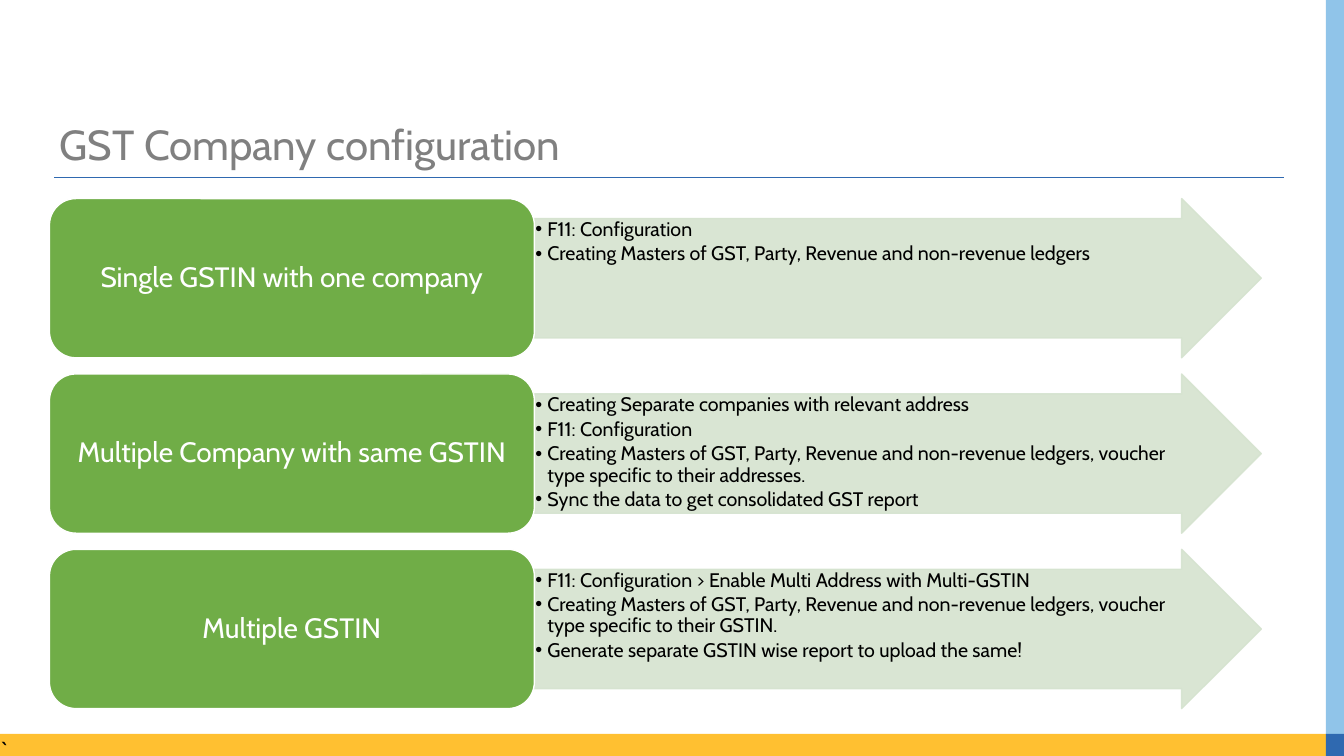
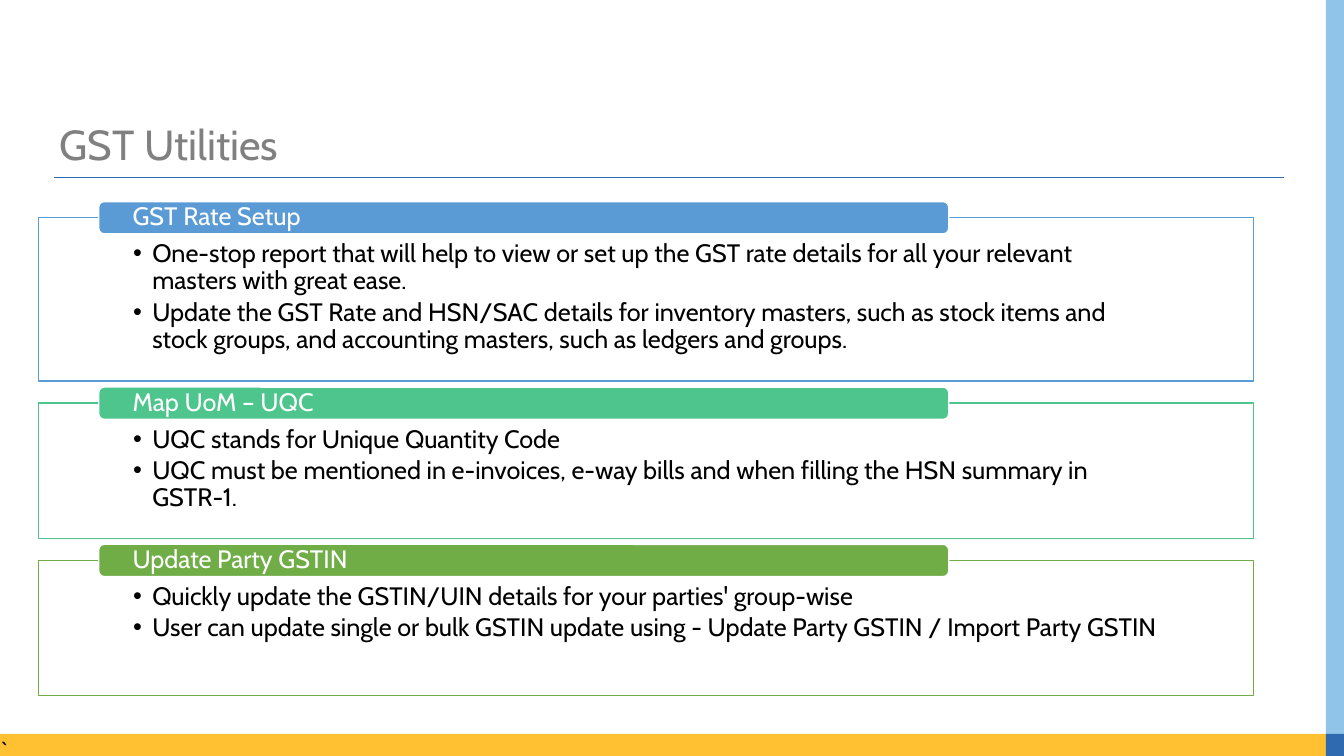
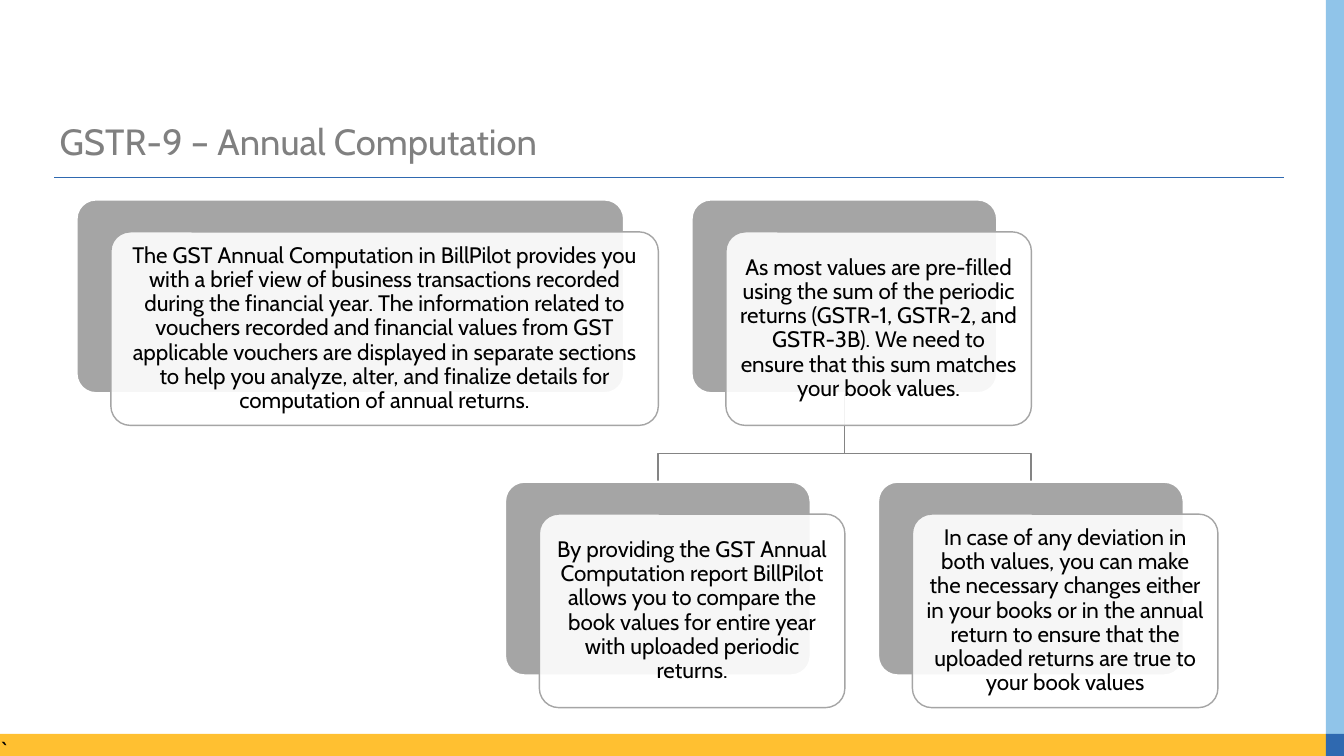
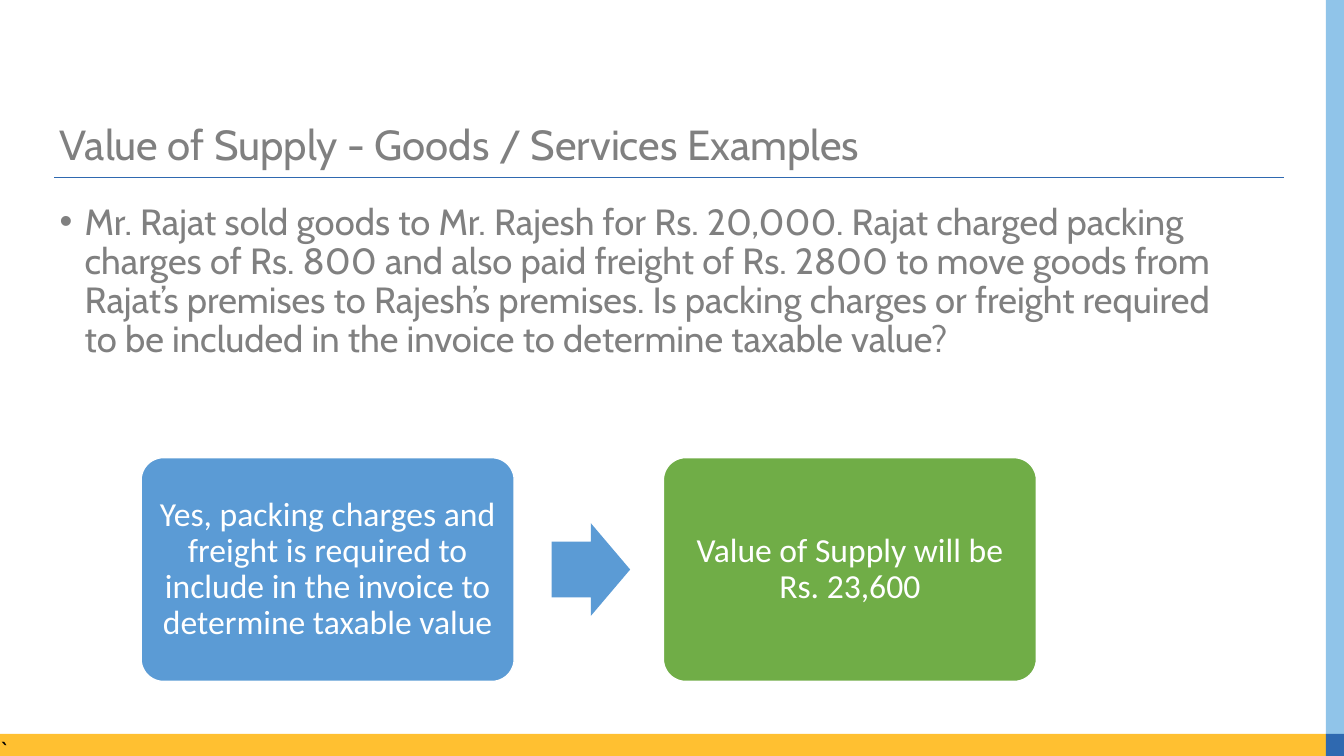
from collections import namedtuple

from lxml.etree import SubElement
from pptx import Presentation
from pptx.dml.color import RGBColor
from pptx.enum.shapes import MSO_SHAPE as Preset
from pptx.enum.text import MSO_ANCHOR as Anchor, MSO_AUTO_SIZE as AutoSize, PP_ALIGN as Align
from pptx.oxml.ns import qn
from pptx.util import Pt

PX = 9144  # EMU in one px: 100 px to the inch
SLIDE_WIDTH, SLIDE_HEIGHT = 1333, 750
TITLE_ONLY, TITLE_AND_BODY = 5, 1

WHITE, BLACK, GREY = "FFFFFF", "000000", "808080"
BLUE, TEAL, GREEN = "5B9BD5", "4DC58D", "70AD47"
PALE_GREEN, CARD_GREY, BRANCH_GREY = "D5E3CF", "A5A5A5", "848484"
AMBER, SKY, NAVY = "FFC031", "90C4E9", "2F69B0"
HEAD_FONT, PLAIN_FONT = "Cabin", "Calibri"

Box = namedtuple("Box", "left top width height")


# ---------- Shared helpers ----------
def px(length):
    return round(length * PX)


def color(hex_value):
    return RGBColor.from_string(hex_value)


def set_values(target, **values):
    for name, value in values.items():
        setattr(target, name, value)


def place(shape, box):
    set_values(shape, **{name: px(value) for name, value in box._asdict().items()})


def paint(fill, hex_value, opacity=100):
    fill.solid()
    fill.fore_color.rgb = color(hex_value)
    if opacity < 100:
        solid = fill._xPr.find(qn("a:solidFill"))
        SubElement(solid[0], qn("a:alpha"), val=str(opacity * 1000))


def add_block(slide, preset, box, fill, line=None, weight=1, opacity=100,
              line_opacity=100, adjustments=()):
    shape = slide.shapes.add_shape(preset, *map(px, box))
    shape.shadow.inherit = False
    paint(shape.fill, fill, opacity)
    if line:
        paint(shape.line.fill, line, line_opacity)
        shape.line.width = Pt(weight)
    else:
        shape.line.fill.background()
    for index, value in enumerate(adjustments):
        shape.adjustments[index] = value
    return shape


def add_bullet(paragraph, indent):
    properties = paragraph._p.get_or_add_pPr()
    properties.set("marL", str(px(indent)))
    properties.set("indent", str(px(-indent)))
    SubElement(properties, qn("a:buFont"), typeface="Arial")
    SubElement(properties, qn("a:buChar"), char="•")


def write(shape, lines, size, hex_value, font=HEAD_FONT, align=Align.LEFT,
          anchor=Anchor.TOP, insets=(10, 5, 10, 5), indent=0, spacing=0.9):
    frame = shape.text_frame
    sides = ("margin_left", "margin_top", "margin_right", "margin_bottom")
    set_values(frame, word_wrap=True, auto_size=AutoSize.NONE, vertical_anchor=anchor,
               **dict(zip(sides, map(px, insets))))
    for index, line in enumerate(lines):
        paragraph = frame.add_paragraph() if index else frame.paragraphs[0]
        if indent:
            add_bullet(paragraph, indent)
        after = Pt(size * 0.17) if index < len(lines) - 1 else 0
        set_values(paragraph, alignment=align, line_spacing=spacing,
                   space_before=0, space_after=after)
        run = paragraph.add_run()
        run.text = line
        set_values(run.font, name=font, size=Pt(size))
        run.font.color.rgb = color(hex_value)


# ---------- Shared slide frame ----------
def add_bands(slide):
    edge, band_top = 1315, 728
    footer = add_block(slide, Preset.RECTANGLE,
                       Box(0, band_top, edge, SLIDE_HEIGHT - band_top), AMBER)
    write(footer, ["`"], 18, BLACK, PLAIN_FONT, insets=(0, 0, 0, 0), spacing=1.0)
    side = SLIDE_WIDTH - edge
    add_block(slide, Preset.RECTANGLE, Box(edge, 0, side, band_top), SKY)
    add_block(slide, Preset.RECTANGLE,
              Box(edge, band_top, side, SLIDE_HEIGHT - band_top), NAVY)


def add_title_rule(slide):
    rule = slide.shapes.add_connector(1, px(54), px(176), px(1273), px(176))
    SubElement(rule._element.spPr, qn("a:effectLst"))
    rule.line.width = Pt(0.82)
    rule.line.color.rgb = color(NAVY)


def new_slide(presentation, title, size=30, layout=TITLE_ONLY):
    slide = presentation.slides.add_slide(presentation.slide_layouts[layout])
    add_title_rule(slide)
    add_bands(slide)
    place(slide.shapes.title, Box(49, 118, 1220, 50))
    write(slide.shapes.title, [title], size, GREY)
    return slide


# ---------- Slide 1: label with an arrow of points ----------
def add_arrow_row(slide, box, label, points):
    label_width = 481
    arrow = add_block(slide, Preset.RIGHT_ARROW,
                      Box(box.left + label_width, box.top, box.width - label_width, box.height),
                      PALE_GREEN, PALE_GREEN, opacity=90, line_opacity=90,
                      adjustments=(0.75, 0.5))
    write(arrow, points, 14, BLACK, insets=(1, 1, 1, 1), indent=12)
    name = add_block(slide, Preset.ROUNDED_RECTANGLE,
                     box._replace(width=label_width), GREEN, WHITE)
    write(name, [label], 20, WHITE, align=Align.CENTER, anchor=Anchor.MIDDLE,
          insets=(8, 4, 8, 4))


def build_configuration(presentation):
    slide = new_slide(presentation, "GST Company configuration")
    setup = "F11: Configuration"
    masters = "Creating Masters of GST, Party, Revenue and non-revenue ledgers"
    rows = [
        ("Single GSTIN with one company", [setup, masters]),
        ("Multiple Company with same GSTIN", [
            "Creating Separate companies with relevant address",
            setup,
            masters + ", voucher type specific to their addresses.",
            "Sync the data to get consolidated GST report"]),
        ("Multiple GSTIN", [
            setup + " > Enable Multi Address with Multi-GSTIN",
            masters + ", voucher type specific to their GSTIN.",
            "Generate separate GSTIN wise report to upload the same!"]),
    ]
    height, gap = 158, 16
    for index, (label, points) in enumerate(rows):
        add_arrow_row(slide, Box(49, 197 + index * (height + gap), 1202, height),
                      label, points)


# ---------- Slide 2: outlined sections with a tab ----------
def add_section(slide, box, accent, heading, points):
    tab_height = 32
    overlap = tab_height // 2
    panel = add_block(slide, Preset.RECTANGLE,
                      box._replace(top=box.top + overlap, height=box.height - overlap),
                      WHITE, accent, opacity=90)
    write(panel, points, 18, BLACK, insets=(94, 23, 94, 14), indent=19)
    tab = add_block(slide, Preset.ROUNDED_RECTANGLE,
                    Box(box.left + 60, box.top, 843, tab_height), accent, WHITE)
    write(tab, [heading], 18, WHITE, anchor=Anchor.MIDDLE, insets=(32, 0, 32, 0))


def build_utilities(presentation):
    slide = new_slide(presentation, "GST Utilities")
    sections = [
        (178, BLUE, "GST Rate Setup", [
            "One-stop report that will help to view or set up the GST rate details "
            "for all your relevant masters with great ease.",
            "Update the GST Rate and HSN/SAC details for inventory masters, such as "
            "stock items and stock groups, and accounting masters, such as ledgers "
            "and groups."]),
        (150, TEAL, "Map UoM – UQC", [
            "UQC stands for Unique Quantity Code",
            "UQC must be mentioned in e-invoices, e-way bills and when filling the "
            "HSN summary in GSTR-1."]),
        (150, GREEN, "Update Party GSTIN", [
            "Quickly update the GSTIN/UIN details for your parties' group-wise",
            "User can update single or bulk GSTIN update using - Update Party GSTIN "
            "/ Import Party GSTIN"]),
    ]
    top, gap = 200, 6
    for height, accent, heading, points in sections:
        add_section(slide, Box(38, top, 1205, height), accent, heading, points)
        top += height + gap


# ---------- Slide 3: tree of layered cards ----------
def add_card(slide, box, text):
    add_block(slide, Preset.ROUNDED_RECTANGLE, box, CARD_GREY, WHITE, 1.5,
              adjustments=(0.1,))
    front = add_block(slide, Preset.ROUNDED_RECTANGLE,
                      box._replace(left=box.left + 34, top=box.top + 32),
                      WHITE, CARD_GREY, opacity=90, adjustments=(0.1,))
    write(front, [text], 16, BLACK, align=Align.CENTER, anchor=Anchor.MIDDLE,
          insets=(7, 7, 7, 7))


def add_branch(slide, parent, child):
    start = parent.left + parent.width / 2
    end = child.left + child.width / 2
    elbow = child.top - 28
    builder = slide.shapes.build_freeform(px(start), px(parent.top + parent.height))
    builder.add_line_segments(
        [(px(start), px(elbow)), (px(end), px(elbow)), (px(end), px(child.top))],
        close=False)
    branch = builder.convert_to_shape()
    branch.shadow.inherit = False
    branch.fill.background()
    paint(branch.line.fill, BRANCH_GREY)
    branch.line.width = Pt(1)


def build_computation(presentation):
    slide = new_slide(presentation, "GSTR-9 – Annual Computation", 26)
    width, height, gap = 303, 192, 67
    overview = Box(76, 198, 543, height)
    parent = Box(overview.left + overview.width + gap, overview.top, width, height)
    first = Box(parent.left - (width + gap) / 2, 478, width, height)
    second = first._replace(left=first.left + width + gap)
    for child in (second, first):
        add_branch(slide, parent, child)
    cards = [
        (overview, "The GST Annual Computation in BillPilot provides you with a brief view "
                   "of business transactions recorded during the financial year. The "
                   "information related to vouchers recorded and financial values from GST "
                   "applicable vouchers are displayed in separate sections to help you "
                   "analyze, alter, and finalize details for computation of annual returns."),
        (parent, "As most values are pre-filled using the sum of the periodic returns "
                 "(GSTR-1, GSTR-2, and GSTR-3B). We need to ensure that this sum matches "
                 "your book values."),
        (first, "By providing the GST Annual Computation report BillPilot allows you to "
                "compare the book values for entire year with uploaded periodic returns."),
        (second, "In case of any deviation in both values, you can make the necessary "
                 "changes either in your books or in the annual return to ensure that the "
                 "uploaded returns are true to your book values"),
    ]
    for box, text in cards:
        add_card(slide, box, text)


# ---------- Slide 4: question with answer steps ----------
def add_steps(slide, box, steps):
    width, gap = 370, 148
    arrow_width, arrow_height = 78, 92
    for index, (fill, text) in enumerate(steps):
        left = box.left + index * (width + gap)
        if index:
            add_block(slide, Preset.RIGHT_ARROW,
                      Box(left - gap + 37, box.top + (box.height - arrow_height) / 2,
                          arrow_width, arrow_height),
                      steps[index - 1][0], adjustments=(0.6, 0.5))
        step = add_block(slide, Preset.ROUNDED_RECTANGLE,
                         Box(left, box.top, width, box.height), fill, WHITE,
                         adjustments=(0.1,))
        write(step, [text], 24, WHITE, PLAIN_FONT, Align.CENTER, Anchor.MIDDLE,
              (10, 10, 10, 10))


def build_example(presentation):
    slide = new_slide(presentation, "Value of Supply - Goods / Services Examples",
                      layout=TITLE_AND_BODY)
    body = slide.placeholders[1]
    place(body, Box(49, 197, 1180, 506))
    write(body, ["Mr. Rajat sold goods to Mr. Rajesh for Rs. 20,000. Rajat charged packing "
                 "charges of Rs. 800 and also paid freight of Rs. 2800 to move goods from "
                 "Rajat’s premises to Rajesh’s premises. Is packing charges or freight "
                 "required to be included in the invoice to determine taxable value?"],
          26, GREY, indent=25)
    add_steps(slide, Box(140, 454, 888, 222), [
        (BLUE, "Yes, packing charges and freight is required to include in the invoice "
               "to determine taxable value"),
        (GREEN, "Value of Supply will be Rs. 23,600"),
    ])


def main():
    presentation = Presentation()
    set_values(presentation, slide_width=px(SLIDE_WIDTH), slide_height=px(SLIDE_HEIGHT))
    for build in (build_configuration, build_utilities, build_computation, build_example):
        build(presentation)
    presentation.save("out.pptx")


if __name__ == "__main__":
    main()
